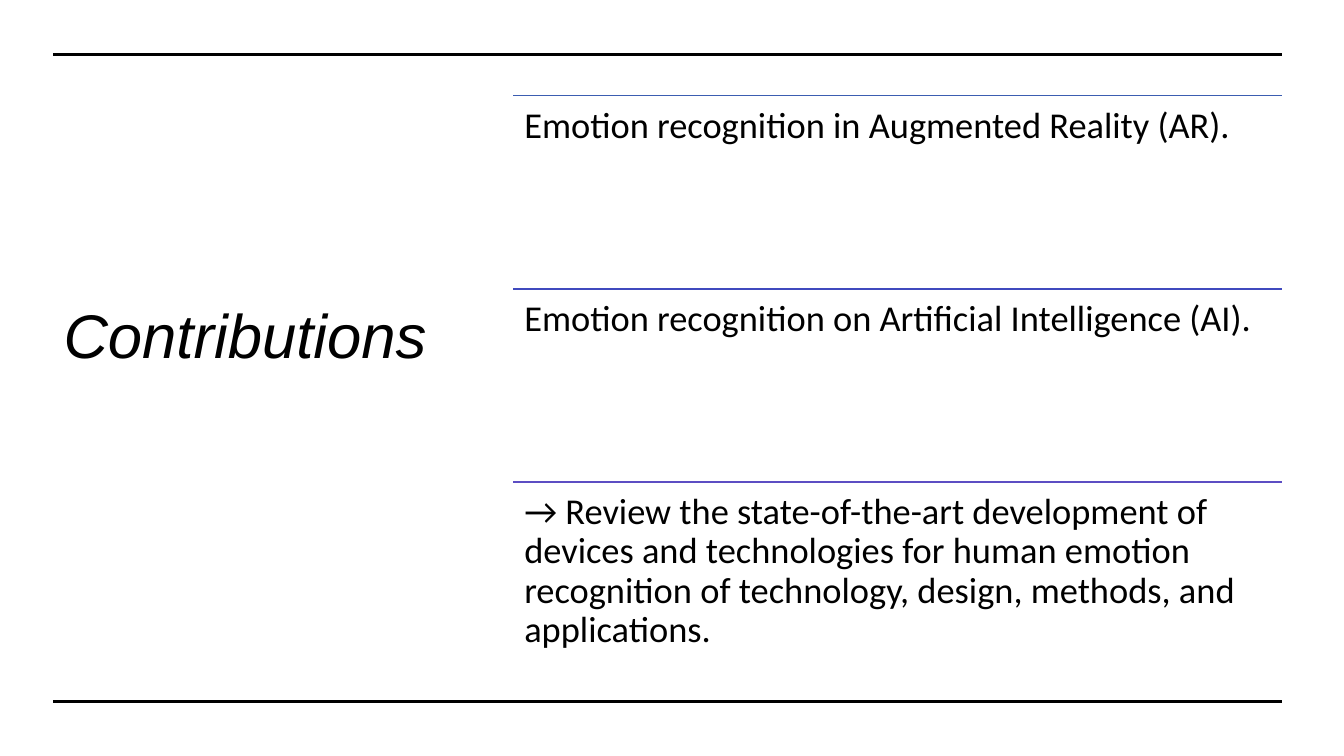
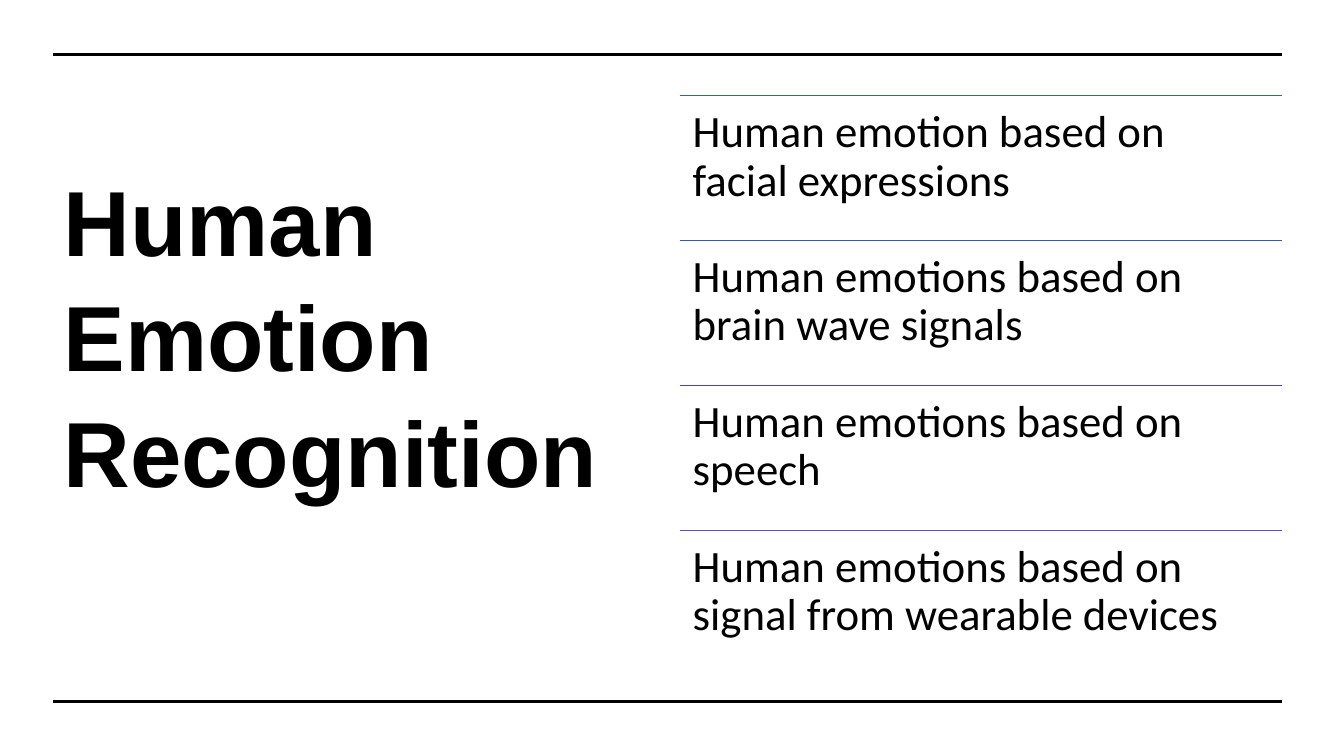
from lxml import etree
from pptx import Presentation
from pptx.dml.color import RGBColor
from pptx.enum.shapes import MSO_CONNECTOR
from pptx.enum.text import MSO_ANCHOR, MSO_AUTO_SIZE, PP_ALIGN
from pptx.oxml.ns import qn
from pptx.util import Inches, Pt

STRAIGHT = MSO_CONNECTOR.STRAIGHT
TOP, MIDDLE = MSO_ANCHOR.TOP, MSO_ANCHOR.MIDDLE
LEFT = PP_ALIGN.LEFT
NO_FIT = MSO_AUTO_SIZE.NONE
TITLE_ONLY = 5

COLORS = {
    "ink": "000000",
    "blue": "3B5DB1",
    "royal": "3E51BA",
    "cobalt": "404ABE",
    "indigo": "4445C0",
    "violet": "5C4DC3",
}
TITLE_FONT, BODY_FONT = "Arial", "Calibri"
MARGIN_LEFT, MARGIN_RIGHT = 0.53, 12.72
BAND_TOP, BAND_BOTTOM = 0.54, 6.96
CONTENT_TOP, CONTENT_HEIGHT = 0.95, 5.75


class Deck:
    """Holds the shared style and the current slide."""

    def __init__(self):
        """Start an empty widescreen presentation."""
        self.prs = Presentation()
        self.prs.slide_width = Inches(13.33)
        self.prs.slide_height = Inches(7.5)
        self.s = None

    def new_slide(self, title, width, size, bold=False, italic=False):
        """Add a slide with its title on the left and the two black bands."""
        self.s = self.prs.slides.add_slide(self.prs.slide_layouts[TITLE_ONLY])
        sp = self.s.shapes.title
        sp.left, sp.top = Inches(MARGIN_LEFT), Inches(CONTENT_TOP)
        sp.width, sp.height = Inches(width), Inches(CONTENT_HEIGHT)
        p = self.set_text(sp.text_frame, title, TITLE_FONT, size, 1.04, MIDDLE)
        p.font.bold, p.font.italic = bold, italic
        # The deep bottom inset lifts the title above the middle.
        sp.text_frame.margin_bottom = Inches(1.1)
        for y in (BAND_TOP, BAND_BOTTOM):
            self.rule(MARGIN_LEFT, y, "ink", 2.25)

    def set_text(self, tf, text, font, size, spacing, anchor):
        """Put one left-aligned paragraph in a text frame and return it."""
        tf.word_wrap = True
        tf.auto_size = NO_FIT
        tf.vertical_anchor = anchor
        p = tf.paragraphs[0]
        p.text = text
        p.alignment = LEFT
        p.line_spacing = spacing
        p.font.name, p.font.size = font, Pt(size)
        p.font.color.rgb = RGBColor.from_string(COLORS["ink"])
        return p

    def rule(self, left, y, color, weight):
        """Draw a horizontal line from left to the right margin."""
        line = self.s.shapes.add_connector(
            STRAIGHT, Inches(left), Inches(y), Inches(MARGIN_RIGHT), Inches(y))
        line.line.color.rgb = RGBColor.from_string(COLORS[color])
        line.line.width = Pt(weight)
        etree.SubElement(line._element.spPr, qn("a:effectLst"))

    def rows(self, left, size, inset, items):
        """Stack equal rows, each a coloured rule with text below it."""
        height = CONTENT_HEIGHT / len(items)
        for i, (color, text) in enumerate(items):
            y = CONTENT_TOP + i * height
            self.rule(left, y, color, 1)
            sp = self.s.shapes.add_textbox(
                Inches(left), Inches(y),
                Inches(MARGIN_RIGHT - left), Inches(height))
            tf = sp.text_frame
            tf.margin_left = tf.margin_right = Inches(inset)
            tf.margin_top = tf.margin_bottom = Inches(inset)
            self.set_text(tf, text, BODY_FONT, size, 0.9, TOP)


def main():
    """Build both slides and save the file."""
    deck = Deck()

    deck.new_slide("Contributions", 4.15, 44, italic=True)
    deck.rows(5.09, 26, 0.11, [
        ("blue", "Emotion recognition in Augmented Reality (AR)."),
        ("cobalt", "Emotion recognition on Artificial Intelligence (AI)."),
        ("violet", "→ Review the state-of-the-art development of devices and "
                   "technologies for human emotion recognition of technology, "
                   "design, methods, and applications."),
    ])

    deck.new_slide("Human Emotion Recognition", 6.14, 66, bold=True)
    deck.rows(6.74, 32, 0.13, [
        ("blue", "Human emotion based on facial expressions"),
        ("royal", "Human emotions based on brain wave signals"),
        ("indigo", "Human emotions based on speech"),
        ("violet", "Human emotions based on signal from wearable devices"),
    ])

    deck.prs.save("out.pptx")


main()
